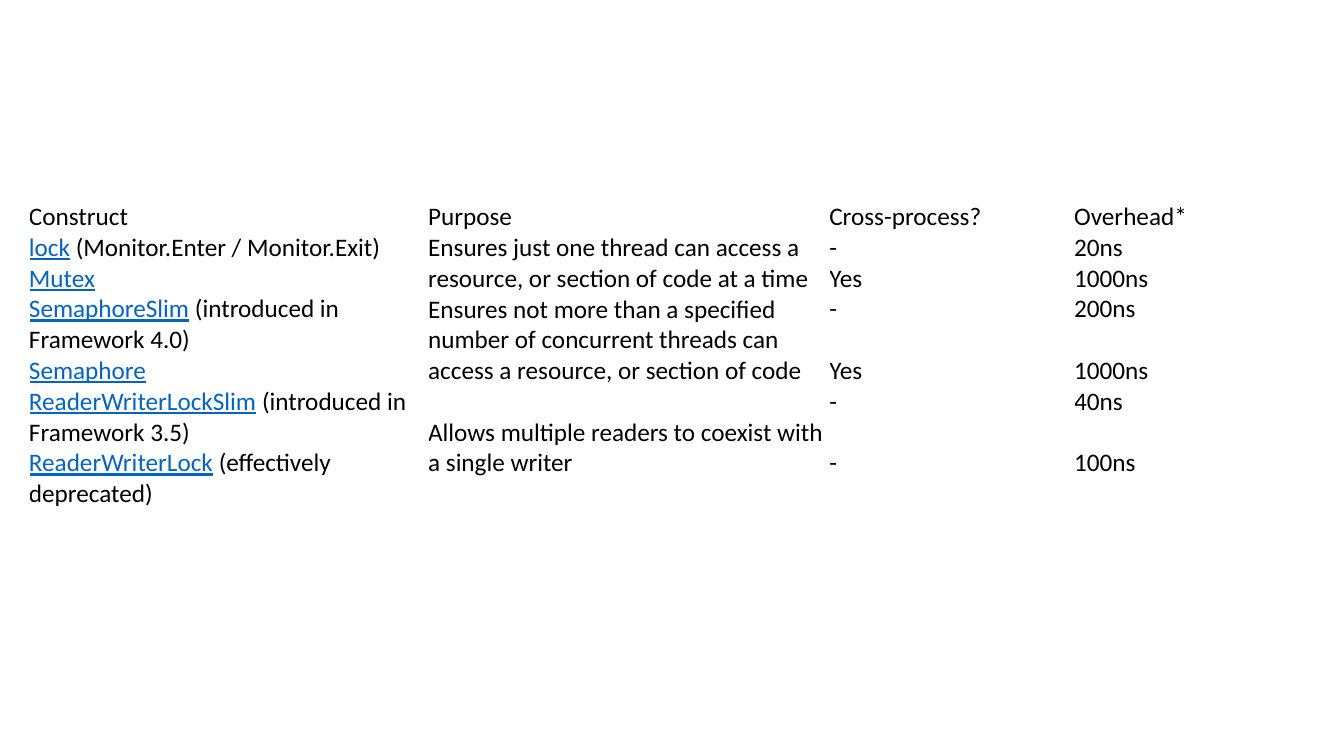
from pptx import Presentation
from pptx.dml.color import RGBColor as Rgb
from pptx.enum.text import MSO_ANCHOR as Anchor
from pptx.util import Cm, Pt

LINE = 0.77
WIDTHS = [10.06, 10.11, 6.17, 4.47]
HEADS = ["Construct", "Purpose", "Cross-process?", "Overhead*"]
LOCKS = [
    ("lock", " (Monitor.Enter / Monitor.Exit)", "-", "20ns", 1),
    ("Mutex", "", "Yes", "1000ns", 1),
    ("SemaphoreSlim", " (introduced in Framework 4.0)", "-", "200ns", 2),
    ("Semaphore", "", "Yes", "1000ns", 1),
    ("ReaderWriterLockSlim", " (introduced in Framework 3.5)", "-", "40ns", 2),
    ("ReaderWriterLock", " (effectively deprecated)", "-", "100ns", 2),
]
AIMS = [
    "Ensures just one thread can access a resource, or section of code at a time",
    "Ensures not more than a specified number of concurrent threads can access "
    "a resource, or section of code",
    "Allows multiple readers to coexist with a single writer",
]


def tint(code):
    """Return the colour of a hex string."""
    return Rgb.from_string(code)


def write(cell, text, color="000000", size=18, line=False):
    """Add a run of text to a cell."""
    run = cell.text_frame.paragraphs[0].add_run()
    run.text = text
    font = run.font
    font.name, font.size, font.underline = "Calibri", Pt(size), line
    font.color.rgb = tint(color)


def draw_table(slide, left, top, widths):
    """Place the table of locking constructs at the given corner."""
    lines = [1] + [lock[-1] for lock in LOCKS]
    frame = slide.shapes.add_table(len(lines), len(widths), Cm(left), Cm(top),
                                   Cm(sum(widths)), Cm(LINE * sum(lines)))
    table = frame.table
    table.first_row = table.horz_banding = False
    for col, width in zip(table.columns, widths):
        col.width = Cm(width)
    for row, count in zip(table.rows, lines):
        row.height = Cm(LINE * count)
    for cell in table.iter_cells():
        cell.fill.background()
        cell.margin_left = cell.margin_right = 0
        cell.margin_top = cell.margin_bottom = 0

    for col, head in enumerate(HEADS):
        write(table.cell(0, col), head)
    for row, (name, note, cross, cost, _) in enumerate(LOCKS, 1):
        write(table.cell(row, 0), name, color="0563C1", line=True)
        if note:
            write(table.cell(row, 0), note)
        write(table.cell(row, 2), cross)
        write(table.cell(row, 3), cost)
    for pair, aim in enumerate(AIMS):
        row = 1 + 2 * pair
        cell = table.cell(row, 1)
        cell.merge(table.cell(row + 1, 1))
        cell.vertical_anchor = Anchor.MIDDLE
        write(cell, aim)


def main():
    """Build the slide and save it."""
    deck = Presentation()
    deck.slide_width, deck.slide_height = Cm(33.87), Cm(19.05)
    slide = deck.slides.add_slide(deck.slide_layouts[6])
    draw_table(slide, 0.73, 5.08, WIDTHS)
    deck.save("out.pptx")


if __name__ == "__main__":
    main()
